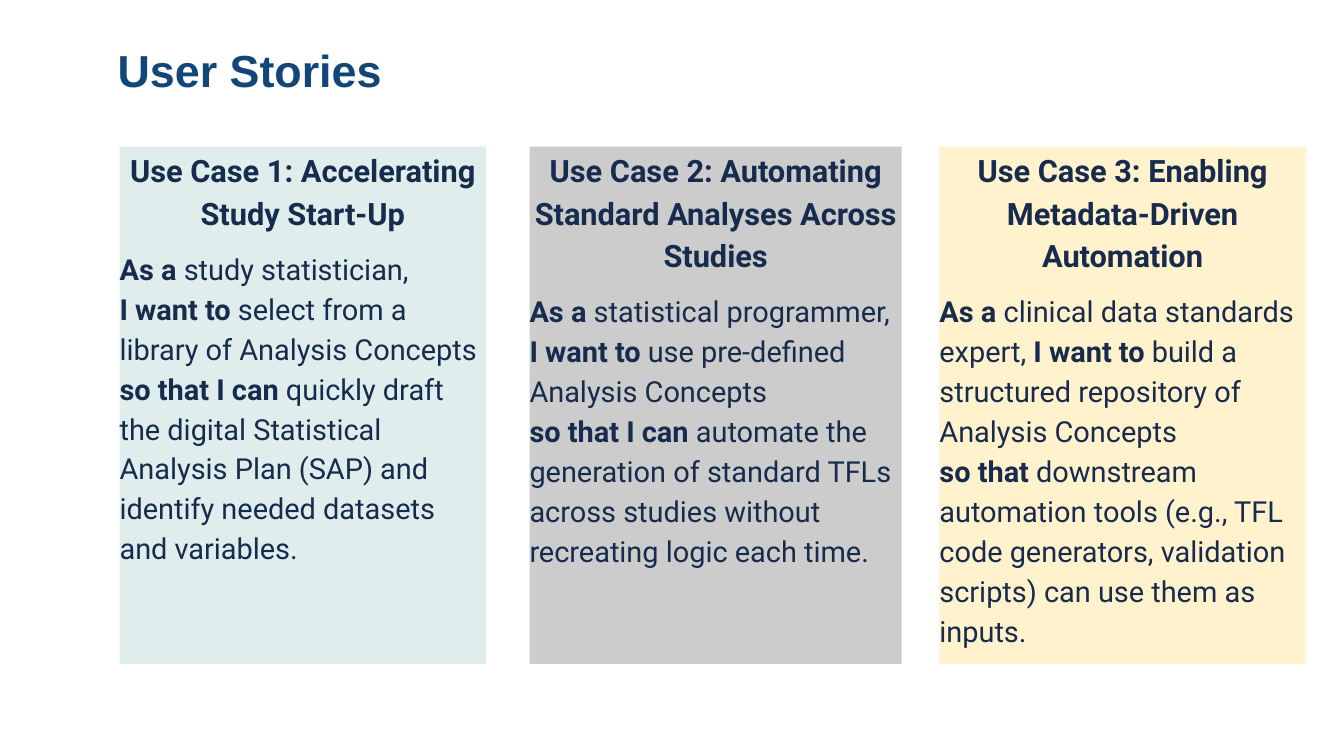
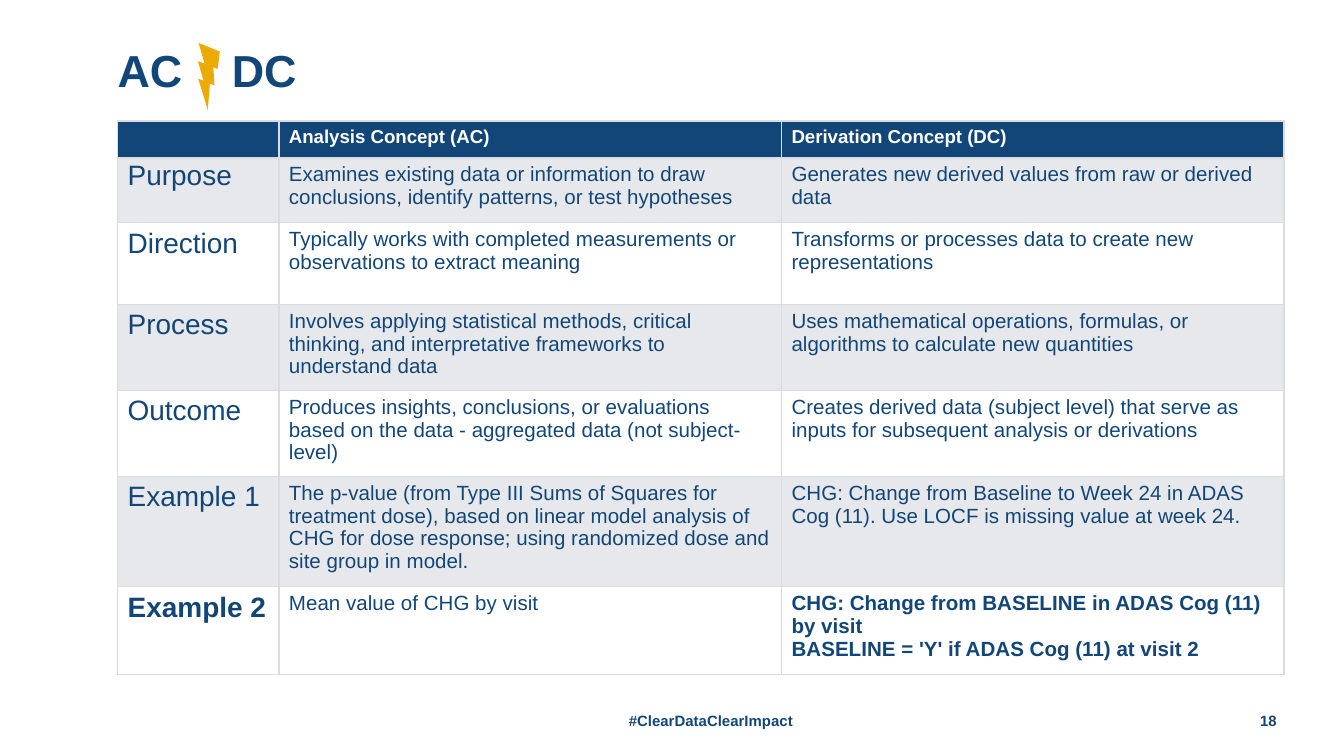
"""Build the user stories slide and the concept comparison slide."""
from dataclasses import dataclass
from typing import NamedTuple

from lxml.etree import SubElement
from pptx import Presentation
from pptx.dml.color import RGBColor
from pptx.enum.shapes import MSO_SHAPE
from pptx.enum.text import MSO_ANCHOR, MSO_AUTO_SIZE, PP_ALIGN
from pptx.oxml.ns import qn
from pptx.util import Pt

SCALE = 4572


@dataclass(frozen=True)
class Theme:
    """Colours, fonts and type sizes of the deck."""
    navy: str = "134678"
    ink: str = "172B4D"
    white: str = "FFFFFF"
    band: str = "E6E8EB"
    rule: str = "DCDCDC"
    gold: str = "EDAA00"
    mint: str = "DFEEEC"
    grey: str = "CCCCCC"
    cream: str = "FFF2CC"
    sans: str = "Arial"
    card: str = "Roboto"
    title: float = 24
    head: float = 16.5
    story: float = 15.5
    label: float = 15
    cell: float = 11
    top: float = 10
    foot: float = 8


THEME = Theme()


class Box(NamedTuple):
    """A place on the slide in px, 200 to the inch."""
    left: int
    top: int
    width: int
    height: int

    def emu(self) -> list[int]:
        """Give the four lengths in EMU."""
        return [side * SCALE for side in self]


class Card(NamedTuple):
    """One use case; stars in the story enclose bold words."""
    head: str
    story: str
    fill: str
    width: int


class Row(NamedTuple):
    """One table row with its height in px."""
    label: str
    left: str
    right: str
    height: int
    lead: float = 1.0
    bold: bool = False


class Note(NamedTuple):
    """One small text at the foot of a slide."""
    text: str
    box: Box
    align: PP_ALIGN


CARDS = [
    Card("Use Case 1: Accelerating Study Start-Up",
         "*As a* study statistician,\n"
         "*I want to* select from a library of Analysis Concepts\n"
         "*so that I can* quickly draft the digital Statistical Analysis Plan (SAP) "
         "and identify needed datasets and variables.", THEME.mint, 545),
    Card("Use Case 2: Automating Standard Analyses Across Studies",
         "*As a* statistical programmer,\n"
         "*I want to* use pre-defined Analysis Concepts\n"
         "*so that I can* automate the generation of standard TFLs across studies "
         "without recreating logic each time.", THEME.grey, 554),
    Card("Use Case 3: Enabling Metadata-Driven Automation",
         "*As a* clinical data standards expert, "
         "*I want to* build a structured repository of Analysis Concepts\n"
         "*so that* downstream automation tools (e.g., TFL code generators, "
         "validation scripts) can use them as inputs.", THEME.cream, 545),
]

ROWS = [
    Row("", "Analysis Concept (AC)", "Derivation Concept (DC)", 55, bold=True),
    Row("Purpose",
        "Examines existing data or information to draw conclusions, "
        "identify patterns, or test hypotheses",
        "Generates new derived values from raw or derived data", 96, lead=0.9),
    Row("Direction",
        "Typically works with completed measurements or observations to extract meaning",
        "Transforms or processes data to create new representations", 122),
    Row("Process",
        "Involves applying statistical methods, critical thinking, "
        "and interpretative frameworks to understand data",
        "Uses mathematical operations, formulas, or algorithms "
        "to calculate new quantities", 128),
    Row("Outcome",
        "Produces insights, conclusions, or evaluations based on the data "
        "- aggregated data (not subject-level)",
        "Creates derived data (subject level) that serve as inputs "
        "for subsequent analysis or derivations", 128),
    Row("Example 1",
        "The p-value (from Type III Sums of Squares for treatment dose), "
        "based on linear model analysis of CHG for dose response; "
        "using randomized dose and site group in model.",
        "CHG: Change from Baseline to Week 24 in ADAS Cog (11). "
        "Use LOCF is missing value at week 24.", 164),
    Row("Example 2", "Mean value of CHG by visit",
        "CHG: Change from BASELINE in ADAS Cog (11) by visit\n"
        "BASELINE = 'Y' if ADAS Cog (11) at visit 2", 131, bold=True),
]

NOTES = [
    Note("18", Box(1834, 1043, 66, 60), PP_ALIGN.RIGHT),
    Note("#ClearDataClearImpact", Box(547, 1043, 1022, 60), PP_ALIGN.CENTER),
]


def paint(item, tint: str) -> None:
    """Fill a shape or cell with one colour."""
    item.fill.solid()
    item.fill.fore_color.rgb = RGBColor.from_string(tint)


def style(par, size: float, tint: str, face: str, bold: bool | None = None) -> None:
    """Format every run, break and empty end of a paragraph."""
    for run in par.runs:
        run.font.size = Pt(size)
        run.font.name = face
        run.font.color.rgb = RGBColor.from_string(tint)
        if bold is not None:
            run.font.bold = bold
    mark = str(round(size * 100))
    for gap in par._p.findall(qn("a:br")):
        SubElement(gap, qn("a:rPr"), sz=mark)
    if not par.runs:
        SubElement(par._p, qn("a:endParaRPr"), sz=mark)


def frame(shape, anchor: MSO_ANCHOR):
    """Give a wrapping text frame without insets."""
    text = shape.text_frame
    text.word_wrap = True
    text.auto_size = MSO_AUTO_SIZE.NONE
    text.vertical_anchor = anchor
    text.margin_left = text.margin_right = text.margin_top = text.margin_bottom = 0
    return text


def shape_at(slide, kind: MSO_SHAPE, box: Box, tint: str):
    """Add a plain filled shape without line or shadow."""
    shape = slide.shapes.add_shape(kind, *box.emu())
    shape.shadow.inherit = False
    shape.line.fill.background()
    paint(shape, tint)
    return shape


def add_page(deck, title: str, tab: int = 0):
    """Add a title-only slide, with a tab stop in the title if asked."""
    slide = deck.slides.add_slide(deck.slide_layouts[5])
    head = slide.shapes.title
    head.left, head.top, head.width, head.height = Box(175, 0, 1725, 218).emu()
    text = frame(head, MSO_ANCHOR.MIDDLE)
    text.text = title
    par = text.paragraphs[0]
    if tab:
        stops = SubElement(par._p.get_or_add_pPr(), qn("a:tabLst"))
        SubElement(stops, qn("a:tab"), pos=str(tab * SCALE), algn="l")
    par.alignment = PP_ALIGN.LEFT
    par.line_spacing = 0.9
    style(par, THEME.title, THEME.navy, THEME.sans, True)
    return slide


def add_story(par, story: str) -> None:
    """Write a story with bold words between stars."""
    for line, words in enumerate(story.split("\n")):
        if line:
            par.add_line_break()
        for turn, part in enumerate(words.split("*")):
            if part:
                run = par.add_run()
                run.text = part
                run.font.bold = turn % 2 == 1


def add_card(slide, card: Card, left: int) -> None:
    """Draw one use case panel."""
    box = Box(left, 218, card.width, 770)
    text = frame(shape_at(slide, MSO_SHAPE.RECTANGLE, box, card.fill), MSO_ANCHOR.TOP)
    text.text = card.head
    head, story = text.paragraphs[0], text.add_paragraph()
    head.alignment, story.alignment = PP_ALIGN.CENTER, PP_ALIGN.LEFT
    head.line_spacing = story.line_spacing = 1.15
    story.space_before = Pt(8)
    add_story(story, card.story)
    style(head, THEME.head, THEME.ink, THEME.card, True)
    style(story, THEME.story, THEME.ink, THEME.card)


def edge(cell) -> None:
    """Rule all four sides of a cell."""
    props = cell._tc.get_or_add_tcPr()
    for side in ("lnL", "lnR", "lnT", "lnB"):
        line = SubElement(props, qn(f"a:{side}"), w=str(Pt(1)))
        SubElement(SubElement(line, qn("a:solidFill")), qn("a:srgbClr"), val=THEME.rule)


def fill_cell(cell, row: Row, line: int, col: int) -> None:
    """Write and format one table cell."""
    edge(cell)
    cell.margin_left, cell.margin_right = 15 * SCALE, 16 * SCALE
    cell.margin_top = cell.margin_bottom = 8 * SCALE
    cell.text_frame.text = (row.label, row.left, row.right)[col]
    if line == 0:
        size, tint, fill = THEME.top, THEME.white, THEME.navy
    else:
        size = THEME.cell if col else THEME.label
        tint, fill = THEME.navy, THEME.band if line % 2 else THEME.white
    paint(cell, fill)
    bold = row.bold and (line == 0 or col != 1)
    for par in cell.text_frame.paragraphs:
        if col == 0 and row.lead != 1:
            par.line_spacing = row.lead
        style(par, size, tint, THEME.sans, bold)


def add_grid(slide) -> None:
    """Draw the comparison table."""
    widths = (240, 748, 748)
    box = Box(175, 180, sum(widths), sum(row.height for row in ROWS))
    grid = slide.shapes.add_table(len(ROWS), len(widths), *box.emu()).table
    grid.horz_banding = False
    for col, width in enumerate(widths):
        grid.columns[col].width = width * SCALE
    for line, row in enumerate(ROWS):
        grid.rows[line].height = row.height * SCALE
        for col in range(len(widths)):
            fill_cell(grid.cell(line, col), row, line, col)


def add_note(slide, note: Note) -> None:
    """Write one footer text."""
    text = frame(slide.shapes.add_textbox(*note.box.emu()), MSO_ANCHOR.MIDDLE)
    text.text = note.text
    par = text.paragraphs[0]
    par.alignment = note.align
    style(par, THEME.foot, THEME.navy, THEME.sans, True)


def main() -> None:
    """Build both slides and save the deck."""
    deck = Presentation()
    deck.slide_width, deck.slide_height = 2000 * SCALE, 1125 * SCALE
    slide = add_page(deck, "User Stories")
    for turn, card in enumerate(CARDS):
        add_card(slide, card, 178 + 610 * turn)
    slide = add_page(deck, "AC\tDC", tab=170)
    add_grid(slide)
    bolt = shape_at(slide, MSO_SHAPE.LIGHTNING_BOLT, Box(267, 72, 80, 74), THEME.gold)
    bolt.rotation = 45
    for note in NOTES:
        add_note(slide, note)
    deck.save("out.pptx")


if __name__ == "__main__":
    main()
